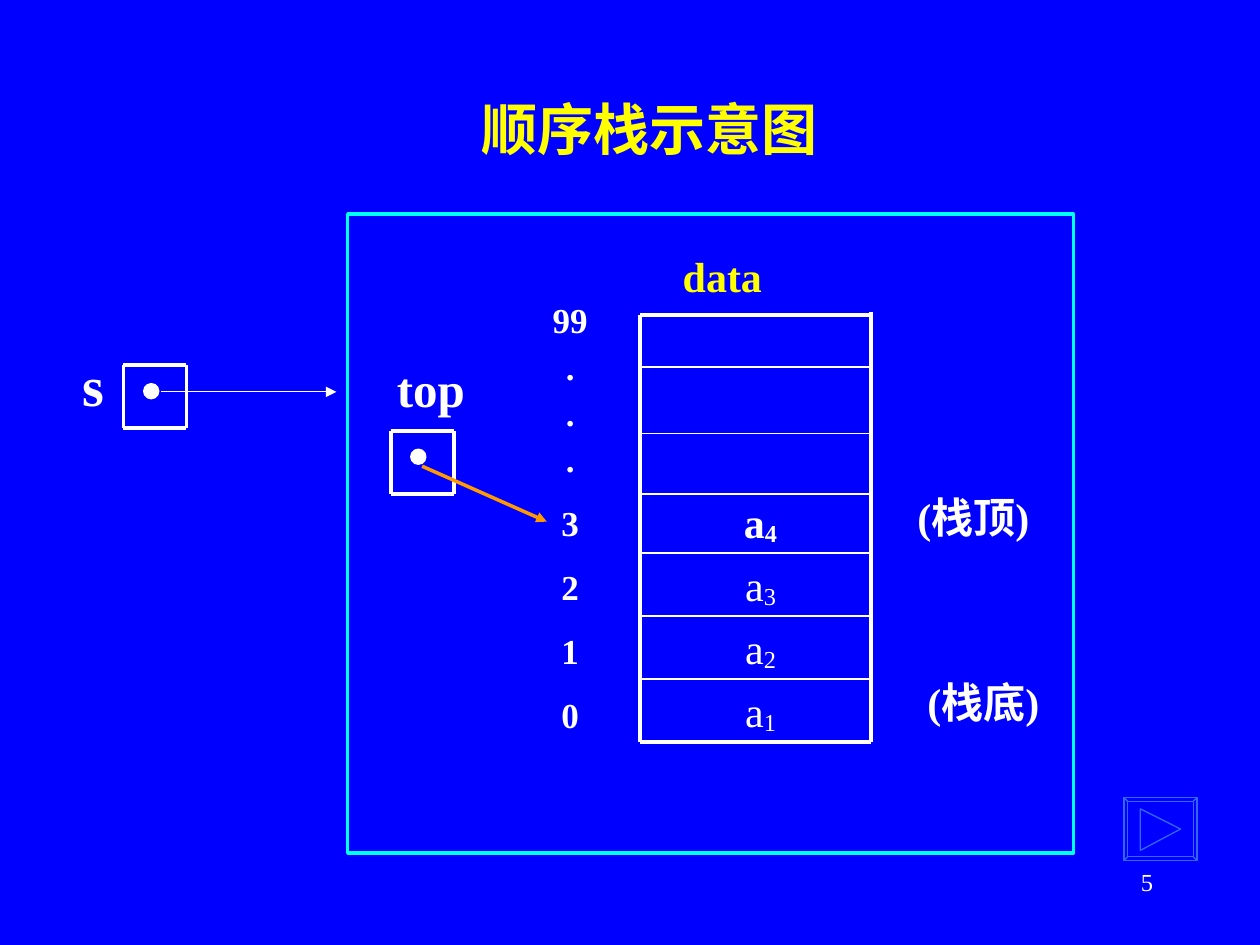
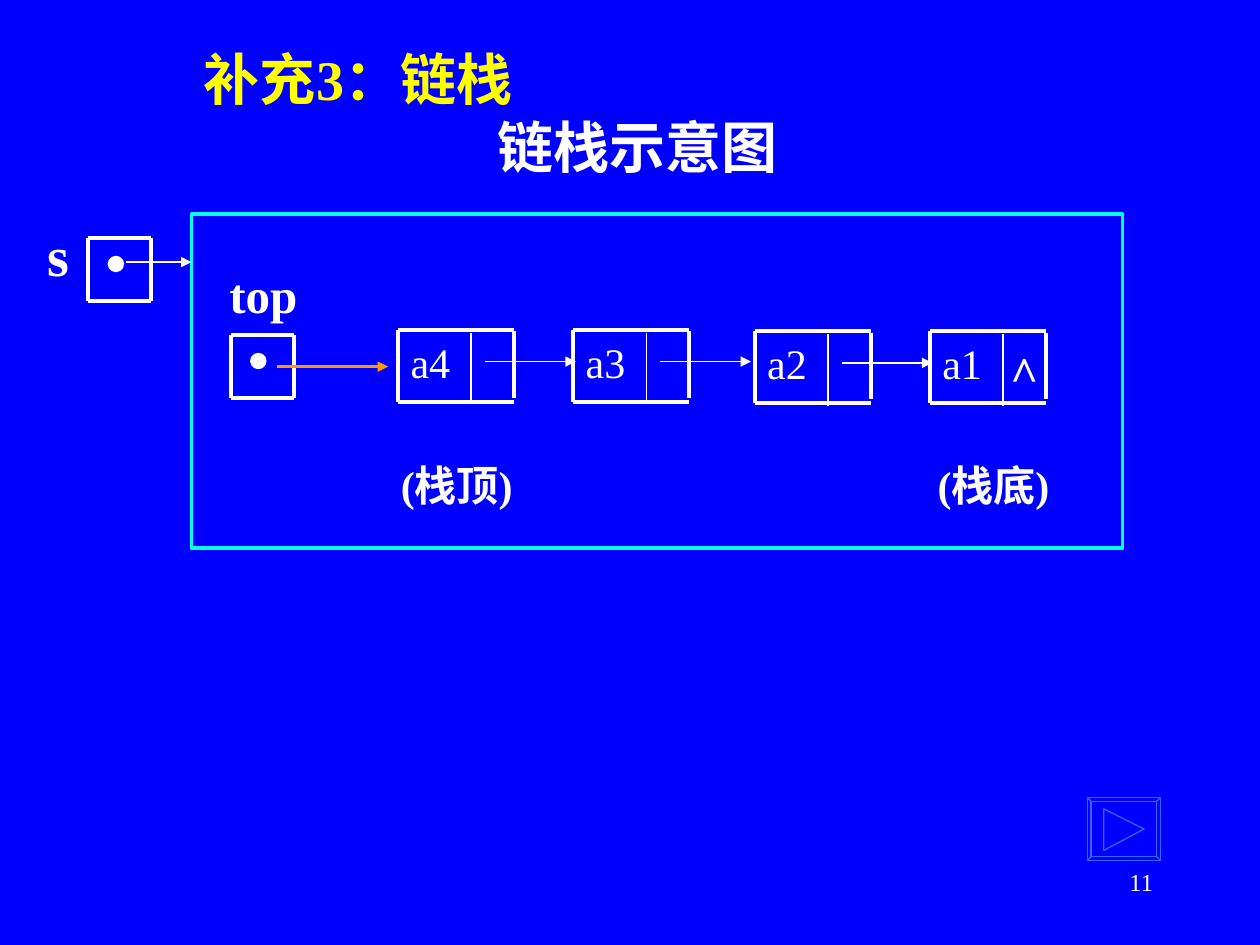
from lxml import etree
from pptx import Presentation
from pptx.dml.color import RGBColor
from pptx.enum.shapes import MSO_CONNECTOR, MSO_SHAPE
from pptx.enum.text import MSO_ANCHOR, MSO_AUTO_SIZE, PP_ALIGN
from pptx.oxml.ns import qn
from pptx.util import Inches, Pt

RECT, OVAL = MSO_SHAPE.RECTANGLE, MSO_SHAPE.OVAL
STRAIGHT = MSO_CONNECTOR.STRAIGHT
TOP, MIDDLE = MSO_ANCHOR.TOP, MSO_ANCHOR.MIDDLE
LEFT, CENTER, RIGHT = PP_ALIGN.LEFT, PP_ALIGN.CENTER, PP_ALIGN.RIGHT
GROW, FIXED = MSO_AUTO_SIZE.SHAPE_TO_FIT_TEXT, MSO_AUTO_SIZE.NONE

COLORS = {"back": "0000FF", "title": "FFFF00", "white": "FFFFFF",
          "frame": "00FFFF", "arrow": "FF9900", "button": "3366FF"}
HUE = {name: RGBColor.from_string(code) for name, code in COLORS.items()}
TITLE = {"size": 32, "bold": True, "color": "title", "anchor": MIDDLE}
LABEL = {"bold": True, "align": CENTER, "anchor": MIDDLE, "fit": GROW}
NOTE = {**LABEL, "size": 24, "before": 15, "wrap": False}


def text(slide, at, lines, size, color="white", bold=False, align=LEFT,
         anchor=TOP, before=0, fit=FIXED, wrap=True):
    """Add a text box with one paragraph per line and return its paragraphs."""
    frame = slide.shapes.add_textbox(*map(Inches, at)).text_frame
    frame.text = "\n".join(lines)
    for key, value in {"word_wrap": wrap, "auto_size": fit,
                       "vertical_anchor": anchor}.items():
        setattr(frame, key, value)
    look = {"name": "Times New Roman", "size": Pt(size), "bold": bold}
    for para in frame.paragraphs:
        para.alignment = align
        para.space_before = Pt(before)
        for run in para.runs:
            run.font.color.rgb = HUE[color]
            for key, value in look.items():
                setattr(run.font, key, value)
    return frame.paragraphs


def line(slide, ends, width, color="white", arrow=False):
    link = slide.shapes.add_connector(STRAIGHT, *map(Inches, ends))
    link.line.color.rgb = HUE[color]
    link.line.width = Pt(width)
    if arrow:
        tail = etree.SubElement(link.line._get_or_add_ln(), qn("a:tailEnd"))
        tail.set("type", "triangle")
    etree.SubElement(link._element.spPr, qn("a:effectLst"))


deck = Presentation()
deck.slide_width, deck.slide_height = Inches(10), Inches(7.5)

NODES = [("a4", 3.16, 2.62), ("a3", 4.55, 2.62),
         ("a2", 5.99, 2.63), ("a1", 7.38, 2.63)]
NODE_HIGH, CELL = 0.57, 0.58
STACK_LEFT, STACK_RIGHT, STACK_TOP, STACK_END = 5.08, 6.91, 2.5, 5.89

PAGES = [
    {"frame": (2.76, 1.7, 5.76, 5.07),
     "s": (0.98, 2.9), "s_text": (0.55, 2.73), "s_line": (1.28, 3.11, 2.67, 3.11),
     "top": (3.1, 3.42), "top_text": (2.97, 2.79),
     "top_line": (3.35, 3.7, 4.34, 4.14),
     "peak": (7.1, 3.85), "base": (7.18, 5.32),
     "button": 892, "number": "5"},
    {"frame": (1.52, 1.7, 7.39, 2.65),
     "s": (0.7, 1.89), "s_text": (0.27, 1.7), "s_line": (1, 2.08, 1.52, 2.08),
     "top": (1.83, 2.66), "top_text": (1.64, 2.05),
     "top_line": (2.2, 2.91, 3.08, 2.91),
     "peak": (3, 3.6), "base": (7.26, 3.6),
     "button": 863, "number": "11"},
]

# Parts that both slides share
slides = []
for page in PAGES:
    slide = deck.slides.add_slide(deck.slide_layouts[6])
    slides.append(slide)
    slide.background.fill.solid()
    slide.background.fill.fore_color.rgb = HUE["back"]

    parts = [(RECT, page["frame"], "frame", 2)]
    for x, y in (page["s"], page["top"]):
        parts.append((OVAL, (x + 0.16, y + 0.145, 0.12, 0.12), "white", 0.75))
        right, low = x + 0.5, y + 0.5
        for side in ((x, y, right, y), (x, low, right, low),
                     (x, y, x, low), (right, y, right, low)):
            line(slide, side, 2.25)
    for kind, at, color, width in parts:
        shape = slide.shapes.add_shape(kind, *map(Inches, at))
        shape.shadow.inherit = False
        shape.line.color.rgb = HUE[color]
        shape.line.width = Pt(width)
        if kind == OVAL:
            shape.fill.solid()
            shape.fill.fore_color.rgb = HUE[color]
        else:
            shape.fill.background()

    line(slide, page["s_line"], 0.75, arrow=True)
    line(slide, page["top_line"], 2, "arrow", arrow=True)
    text(slide, (*page["s_text"], 0.39, 0.64), ["s"], 32, before=20, **LABEL)
    text(slide, (*page["top_text"], 0.9, 0.57), ["top"], 28, before=17.5, **LABEL)
    text(slide, (*page["peak"], 1.25, 0.5), ["(栈顶)"], **NOTE)
    text(slide, (*page["base"], 1.25, 0.5), ["(栈底)"], **NOTE)

    # Forward button in hundredths of an inch: rims, bevel corners, triangle
    x, y = page["button"], 633
    outer = [(x, y), (x + 58, y), (x + 58, y + 50), (x, y + 50)]
    inner = [(x + 3, y + 3), (x + 55, y + 3), (x + 55, y + 47), (x + 3, y + 47)]
    mark = [(x + 13, y + 9), (x + 45, y + 25), (x + 13, y + 42)]
    pen = slide.shapes.build_freeform(*outer[0], scale=Inches(0.01))
    pen.add_line_segments(outer[1:], close=True)
    for ring in (inner, mark):
        pen.move_to(*ring[0])
        pen.add_line_segments(ring[1:], close=True)
    for start, end in zip(outer, inner):
        pen.move_to(*start)
        pen.add_line_segments([end], close=False)
    button = pen.convert_to_shape()
    button.shadow.inherit = False
    button.fill.background()
    button.line.color.rgb = HUE["button"]
    button.line.width = Pt(0.75)
    text(slide, (7.17, 6.83, 2.08, 0.5), [page["number"]], 14, align=RIGHT)

array, chain = slides

# Array stack
text(array, (2.98, 0.66, 4.36, 0.71), ["顺序栈示意图"], align=CENTER, **TITLE)
text(array, (5.32, 1.94, 0.83, 0.5), ["data"], 24, "title", bold=True,
     fit=GROW, wrap=False)
for y, width in ((STACK_TOP, 2), (2.91, 1), (3.44, 1), (3.92, 1), (4.39, 1),
                 (4.89, 1), (5.39, 1), (STACK_END, 2.25)):
    line(array, (STACK_LEFT, y, STACK_RIGHT, y), width)
for x, y in ((STACK_LEFT, STACK_TOP), (STACK_RIGHT, STACK_TOP - 0.02)):
    line(array, (x, y, x, STACK_END), 2.25)
for item in range(1, 5):
    at = (STACK_LEFT, STACK_END - 0.5 * item, STACK_RIGHT - STACK_LEFT, 0.5)
    para = text(array, at, [" a"], 24, bold=item == 4, align=CENTER, before=15)[0]
    sub = para.add_run()
    sub.text = str(item)
    for key, value in {"name": "Times New Roman", "size": Pt(24),
                       "bold": item == 4}.items():
        setattr(sub.font, key, value)
    sub.font.color.rgb = HUE["white"]
    sub.font._element.set("baseline", "-10000")
marks = text(array, (3.99, 2.32, 1.07, 3.57),
             ["99", ".", ".", ".", "3", "2", "1", "0"], 20, before=2.5, **LABEL)
for para in marks[4:]:
    para.space_before = Pt(12.5)

# Linked stack
head = text(chain, (1.52, 0.4, 5.81, 0.98), ["补充3：链栈", "链栈示意图"], **TITLE)
head[1].runs[0].font.color.rgb = HUE["white"]
head[1]._p.get_or_add_pPr().set("marL", str(Inches(2.33)))
for name, x, y in NODES:
    right, low, split = x + 0.92, y + NODE_HIGH, x + CELL
    text(chain, (x, y, CELL, NODE_HIGH), [name], 24, before=6)
    for side, width in (((x, y, right, y), 2.25), ((x, low, right, low), 2.25),
                        ((x, y, x, low), 2.25),
                        ((split, y + 0.02, split, low + 0.02), 1),
                        ((right, y + 0.01, right, low - 0.03), 2.25)):
        line(chain, side, width)
    if name != "a1":
        line(chain, (x + 0.69, y + 0.25, x + 1.41, y + 0.25), 0.75, arrow=True)
text(chain, (7.88, 2.67, 0.5, 0.57), ["^"], 28, before=17.5, **LABEL)

deck.save("out.pptx")
